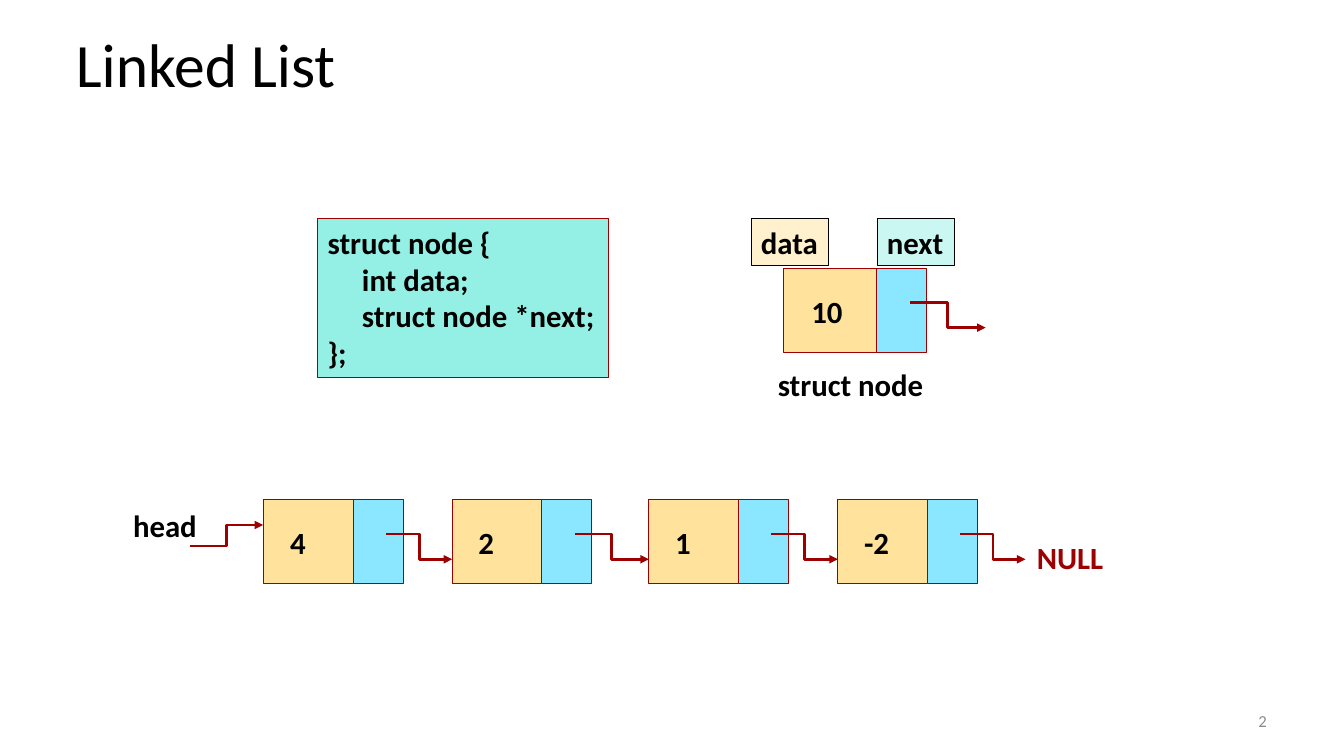
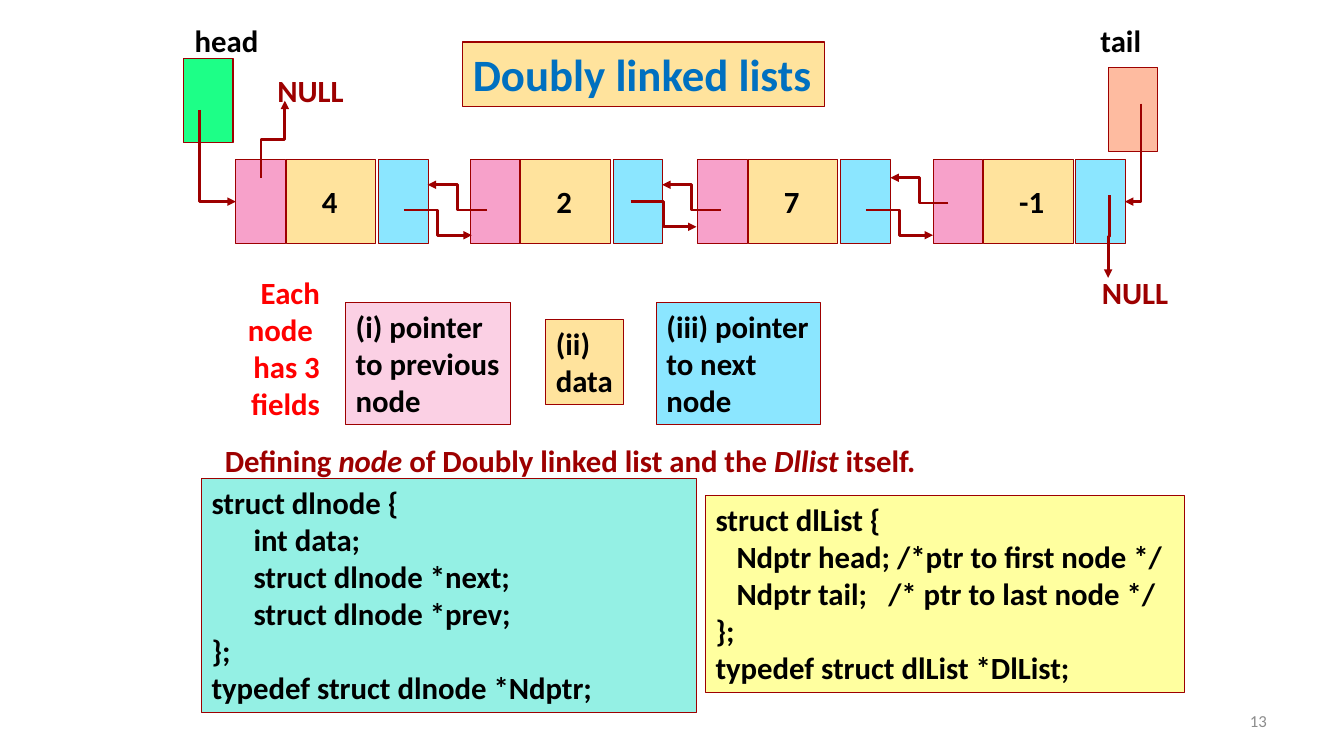
from lxml import etree
from pptx import Presentation
from pptx.dml.color import RGBColor
from pptx.enum.shapes import MSO_CONNECTOR, MSO_SHAPE
from pptx.enum.text import MSO_ANCHOR, MSO_AUTO_SIZE, PP_ALIGN
from pptx.oxml.ns import qn
from pptx.util import Pt

ELBOW, RECTANGLE = MSO_CONNECTOR.ELBOW, MSO_SHAPE.RECTANGLE
LEFT, RIGHT = PP_ALIGN.LEFT, PP_ALIGN.RIGHT
TOP, MIDDLE = MSO_ANCHOR.TOP, MSO_ANCHOR.MIDDLE
NO_FIT = MSO_AUTO_SIZE.NONE

BLACK = RGBColor(0x00, 0x00, 0x00)
GRAY = RGBColor(0x8C, 0x8C, 0x8C)
RED = RGBColor(0xFF, 0x00, 0x00)
DARK_RED = RGBColor(0x9D, 0x00, 0x00)
BLUE = RGBColor(0x00, 0x70, 0xC0)
DATA_FILL = RGBColor(0xFF, 0xE3, 0x9D)
NEXT_FILL = RGBColor(0x8B, 0xE6, 0xFF)
PREV_FILL = RGBColor(0xF7, 0xA1, 0xCA)
PREV_LIGHT = RGBColor(0xFB, 0xD0, 0xE4)
DATA_LIGHT = RGBColor(0xFF, 0xF1, 0xCE)
NEXT_LIGHT = RGBColor(0xCA, 0xF7, 0xF1)
CODE_FILL = RGBColor(0x94, 0xF0, 0xE4)
LIST_FILL = RGBColor(0xFF, 0xFF, 0x9F)
HEAD_FILL = RGBColor(0x1D, 0xFF, 0x87)
TAIL_FILL = RGBColor(0xFE, 0xBB, 0xA0)

LABEL = {"name": "Calibri", "size": Pt(22), "bold": True}
NODE_HEIGHT, DATA_WIDTH, POINTER_WIDTH = 60, 64, 35.5


def add_box(slide, x, y, w, h, lines=(), fill=None, line=DARK_RED, color=BLACK,
            font=LABEL, align=LEFT, anchor=TOP, inset=7.2, indent=0, wrap=False):
    """Filled rectangle or bare text; a line is a string or a list of (text, italic) runs.
    A leading tab marks a line that is indented."""
    place = Pt(x), Pt(y), Pt(w), Pt(h)
    if fill is None:
        box = slide.shapes.add_textbox(*place)
    else:
        box = slide.shapes.add_shape(RECTANGLE, *place)
        box.shadow.inherit = False
        box.fill.solid()
        box.fill.fore_color.rgb = fill
        box.line.color.rgb = line
        box.line.width = Pt(0.75)
    frame = box.text_frame
    frame.word_wrap, frame.vertical_anchor, frame.margin_left = wrap, anchor, Pt(inset)
    for number, content in enumerate(lines):
        paragraph = frame.add_paragraph() if number else frame.paragraphs[0]
        paragraph.alignment = align
        runs = [(content, False)] if isinstance(content, str) else content
        if runs[0][0].startswith("\t"):
            paragraph._p.get_or_add_pPr().set("marL", str(Pt(indent)))
        for text, italic in runs:
            run = paragraph.add_run()
            run.text = text.lstrip("\t")
            run.font.color.rgb = color
            for key, value in {**font, "italic": italic}.items():
                setattr(run.font, key, value)
    return box


def add_pointer(slide, x1, y1, x2, y2, turn=0, preset="bentConnector3"):
    """Elbow arrow; a turn of 90 or 270 degrees makes it leave vertically."""
    if turn:
        sign = 1 if turn == 90 else -1
        mid_x, mid_y = (x1 + x2) / 2, (y1 + y2) / 2
        half_w, half_h = sign * (y2 - y1) / 2, sign * (x1 - x2) / 2
        x1, y1, x2, y2 = mid_x - half_w, mid_y - half_h, mid_x + half_w, mid_y + half_h
    pointer = slide.shapes.add_connector(ELBOW, Pt(x1), Pt(y1), Pt(x2), Pt(y2))
    pointer.line.color.rgb = DARK_RED
    pointer.line.width = Pt(2)
    properties = pointer._element.spPr
    properties.find(qn("a:prstGeom")).set("prst", preset)
    if turn:
        properties.find(qn("a:xfrm")).set("rot", str(turn * 60000))
    etree.SubElement(properties.find(qn("a:ln")), qn("a:tailEnd"), type="triangle")
    etree.SubElement(properties, qn("a:effectLst"))


prs = Presentation()
prs.slide_width, prs.slide_height = Pt(960), Pt(540)

# Titles and page numbers
TITLES = [
    ("Linked List", "2", (47, 15, 448, 56), {"size": Pt(44), "bold": False}, BLACK),
    ("Doubly linked lists", "13", (330.5, 30, 258.5, 46), {"size": Pt(32), "bold": True}, BLUE),
]
for heading, page, place, title_font, title_color in TITLES:
    slide = prs.slides.add_slide(prs.slide_layouts[5])
    title = slide.shapes.title
    title.left, title.top, title.width, title.height = map(Pt, place)
    title.text_frame.text = heading
    title.text_frame.auto_size, title.text_frame.word_wrap = NO_FIT, False
    title.text_frame.vertical_anchor = TOP
    title.text_frame.paragraphs[0].alignment = LEFT
    font = title.text_frame.paragraphs[0].runs[0].font
    font.color.rgb = title_color
    for key, value in {"name": "Calibri", **title_font}.items():
        setattr(font, key, value)
    add_box(slide, 688, 500.5, 224, 29, [page], color=GRAY, align=RIGHT, anchor=MIDDLE,
            font={"name": "Calibri", "size": Pt(12)}, wrap=True)
single, double = prs.slides
double.shapes.title.fill.solid()
double.shapes.title.fill.fore_color.rgb = DATA_FILL
double.shapes.title.line.color.rgb = DARK_RED
double.shapes.title.line.width = Pt(0.75)

# Single list: definition and one labelled node
add_box(single, 227, 156, 207.5, 114,
        ["struct node {", "\tint data;", "\tstruct node *next;", "};"],
        fill=CODE_FILL, indent=24.5)
add_box(single, 560, 192, 66, NODE_HEIGHT, ["10"], fill=DATA_FILL, anchor=MIDDLE, inset=19.5)
add_box(single, 626, 192, 36, NODE_HEIGHT, fill=NEXT_FILL)
add_box(single, 536.5, 156, 55.5, 34, ["data"], fill=DATA_LIGHT, line=BLACK)
add_box(single, 626.5, 156, 55, 34, ["next"], fill=NEXT_LIGHT, line=BLACK)
add_box(single, 548.5, 258, 124.5, 34, ["struct node"])
add_pointer(single, 650, 216, 704, 234)

# Single list: chain from head to NULL
CHAIN_TOP = 357
chain_lefts = [188.5, 323, 463.5, 598.5]
for value, left, target in zip(["4", "2", "1", "-2"], chain_lefts, chain_lefts[1:] + [732.5]):
    add_box(single, left, CHAIN_TOP, DATA_WIDTH, NODE_HEIGHT, [value],
            fill=DATA_FILL, anchor=MIDDLE, inset=18.7)
    add_box(single, left + DATA_WIDTH, CHAIN_TOP, POINTER_WIDTH, NODE_HEIGHT, fill=NEXT_FILL)
    add_pointer(single, left + 87.5, CHAIN_TOP + 24.5, target, CHAIN_TOP + 42.5)
add_box(single, 733.5, 381.5, 62, 34, ["NULL"], color=DARK_RED)
add_box(single, 88, 358.5, 60.5, 34, ["head"])
add_pointer(single, 135.5, 390, 188, 375)

# Double list: chain of nodes with two pointers each
DOUBLE_TOP = 114
for value, left in zip(["4", "2", "7", "-1"], [168.5, 336, 498.5, 666.5]):
    add_box(double, left, DOUBLE_TOP, POINTER_WIDTH, NODE_HEIGHT, fill=PREV_FILL)
    add_box(double, left + 36, DOUBLE_TOP, DATA_WIDTH, NODE_HEIGHT, [value],
            fill=DATA_FILL, anchor=MIDDLE, inset=25.5)
    add_box(double, left + 102, DOUBLE_TOP, POINTER_WIDTH, NODE_HEIGHT, fill=NEXT_FILL)
NEXT_POINTERS = [(288.5, 150, 337), (450.5, 144, 497.5), (618.5, 150, 666.5)]
PREV_POINTERS = [(348, 150, 305.5), (515, 150, 473), (677.5, 145, 636)]
for pointers, drop in [(NEXT_POINTERS, 18), (PREV_POINTERS, -18)]:
    for start_x, start_y, end_x in pointers:
        add_pointer(double, start_x, start_y, end_x, start_y + drop)

# Double list: head, tail and both NULL ends
add_box(double, 132, 12, 60.5, 34, ["head"])
add_box(double, 779, 12, 54, 34, ["tail"])
add_box(double, 131, 42, POINTER_WIDTH, NODE_HEIGHT, fill=HEAD_FILL)
add_box(double, 791.5, 48, POINTER_WIDTH, NODE_HEIGHT, fill=TAIL_FILL)
for x, y in [(191, 48), (780, 192)]:
    add_box(double, x, y, 62, 34, ["NULL"], color=DARK_RED)
add_pointer(double, 815, 74, 803.5, 144, 90, "bentConnector2")
add_pointer(double, 142.5, 78.5, 168.5, 144, 270, "bentConnector2")
add_pointer(double, 792.5, 139.5, 791.5, 198.5, 90)
add_pointer(double, 186.5, 127, 203.5, 72, 90)

# Double list: the three fields
add_box(double, 132, 192, 103.5, 114, ["Each", "node ", "has 3", "fields"],
        color=RED, align=RIGHT, wrap=True)
add_box(double, 247, 216, 118, 87.5, ["(i) pointer", "to previous", "node"], fill=PREV_LIGHT)
add_box(double, 390, 228.5, 55.5, 60.5, ["(ii)", "data"], fill=DATA_FILL)
add_box(double, 469, 216, 117, 87.5, ["(iii) pointer", "to next", "node"], fill=NEXT_FILL)

# Double list: definitions
add_box(double, 144, 342, 353.5, 167,
        ["struct dlnode {", "\tint data;", "\tstruct dlnode *next;", "\tstruct dlnode *prev;",
         "};", "typedef struct dlnode *Ndptr;"], fill=CODE_FILL, indent=30, wrap=True)
add_box(double, 153.5, 312, 513.5, 34,
        [[("Defining ", False), ("node", True), (" of Doubly linked list and the ", False),
          ("Dllist", True), (" itself.", False)]], color=DARK_RED)
list_code = add_box(
    double, 504, 354, 342, 140.5,
    ["struct dlList {", "\tNdptr head; /*ptr to first node */",
     [("\tNdptr tail;", False), (" ", False), ("/* ptr to last node */", False)],
     "};", "typedef struct dlList *DlList;"], fill=LIST_FILL, indent=15, wrap=True)
# Widen the gap before the comment on the tail
list_code.text_frame.paragraphs[2].runs[1]._r.get_or_add_rPr().set("spc", "1000")

prs.save("out.pptx")
